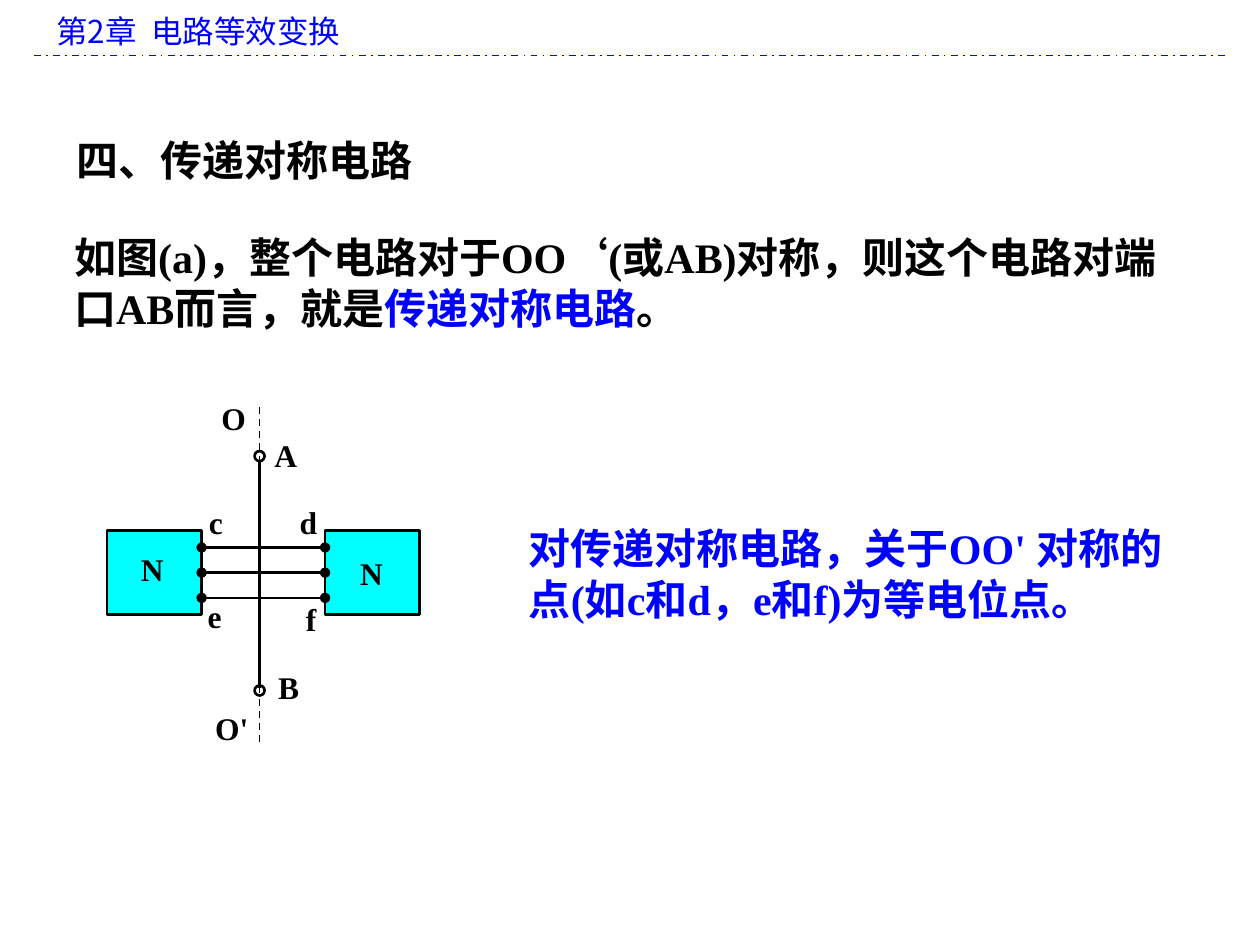
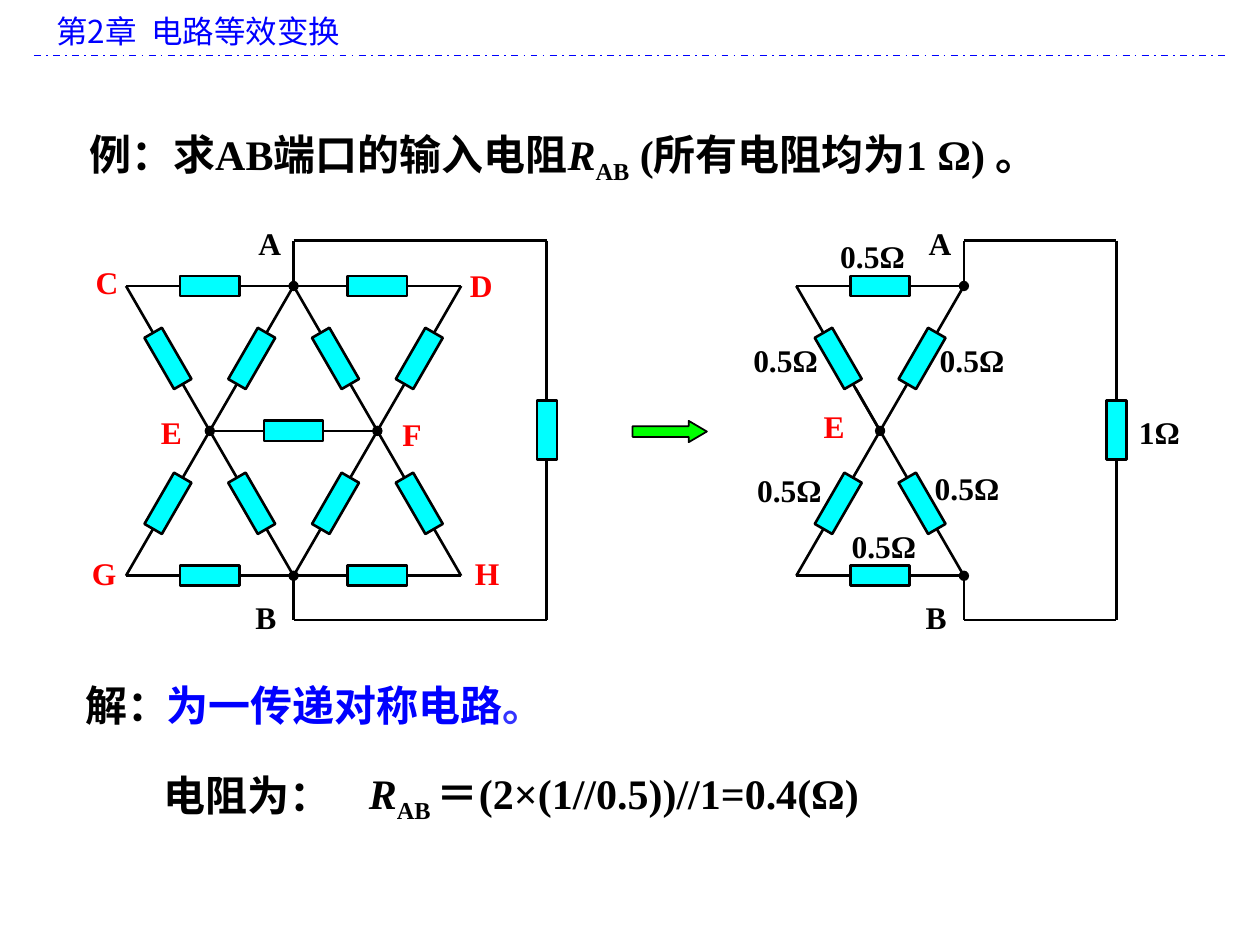
from math import atan2, degrees

from lxml.etree import SubElement
from pptx import Presentation
from pptx.dml.color import RGBColor
from pptx.enum.dml import MSO_LINE
from pptx.enum.shapes import MSO_CONNECTOR, MSO_SHAPE
from pptx.enum.text import MSO_ANCHOR, PP_ALIGN
from pptx.oxml.ns import qn
from pptx.util import Inches, Pt

BLACK, BLUE, RED = "000000", "0000FF", "FF0000"
CYAN, GREEN = "00FFFF", "00FF00"
BODY_FONT, HEADER_FONT = "Times New Roman", "Noto Sans CJK SC"
BODY_SIZE, LABEL_SIZE = 24, 18
TOP_ROW, MIDDLE_ROW, BOTTOM_ROW = 2.27, 3.42, 4.57
PORT_TOP, PORT_BOTTOM = 1.91, 4.92
SIDE = 1.33


def color(hex_code):
    """Turn a hex string into a colour."""
    return RGBColor.from_string(hex_code)


def add_text(slide, left, top, width, height, runs, ink=BLACK,
             size=BODY_SIZE, font=BODY_FONT, bold=True):
    """Add a wrapped one-paragraph text box; runs are (text, changes) pairs."""
    frame = slide.shapes.add_textbox(
        Inches(left), Inches(top), Inches(width), Inches(height)).text_frame
    frame.word_wrap = True
    paragraph = frame.paragraphs[0]
    paragraph.font.name = font
    paragraph.font.size = Pt(size)
    paragraph.font.bold = bold
    paragraph.font.color.rgb = color(ink)
    for words, changes in [(runs, {})] if isinstance(runs, str) else runs:
        run = paragraph.add_run()
        run.text = words
        if "ink" in changes:
            run.font.color.rgb = color(changes["ink"])
        if changes.get("italic"):
            run.font.italic = True
        if changes.get("subscript"):
            run.font._element.set("baseline", "-25000")
    return frame


def add_label(slide, words, left, top, width=0.46):
    """Add a left-aligned diagram label."""
    add_text(slide, left, top, width, 0.4, words, size=LABEL_SIZE)


def add_node_name(slide, name, left, top, ink=RED):
    """Add the centred name of a circuit node."""
    frame = add_text(slide, left, top, 0.38, 0.4, name, ink, LABEL_SIZE)
    frame.word_wrap = False
    frame.vertical_anchor = MSO_ANCHOR.MIDDLE
    frame.paragraphs[0].alignment = PP_ALIGN.CENTER


def add_block(slide, kind, left, top, width, height, fill=None, weight=1.5):
    """Add an outlined preset shape, hollow unless a fill is given."""
    block = slide.shapes.add_shape(
        kind, Inches(left), Inches(top), Inches(width), Inches(height))
    block.shadow.inherit = False
    if fill:
        block.fill.solid()
        block.fill.fore_color.rgb = color(fill)
    else:
        block.fill.background()
    block.line.color.rgb = color(BLACK)
    block.line.width = Pt(weight)
    return block


def add_line(slide, start, end, ink=BLACK, weight=1.5, dash=None, dots=()):
    """Add a straight line; dots lists the ends (head, tail) with a node dot."""
    line = slide.shapes.add_connector(
        MSO_CONNECTOR.STRAIGHT, *(Inches(n) for n in (*start, *end)))
    line.line.color.rgb = color(ink)
    line.line.width = Pt(weight)
    if dash:
        line.line.dash_style = dash
    properties = line._element.spPr
    outline = properties.find(qn("a:ln"))
    for end_name in dots:
        SubElement(outline, qn(f"a:{end_name}End"), type="oval")
    SubElement(properties, qn("a:effectLst"))
    return line


def add_wire(slide, start, end, resistors=0, dots=()):
    """Add a wire with resistors spread evenly along it."""
    add_line(slide, start, end, dots=dots)
    (x1, y1), (x2, y2) = start, end
    for index in range(resistors):
        share = (2 * index + 1) / (2 * resistors)
        x, y = x1 + share * (x2 - x1), y1 + share * (y2 - y1)
        resistor = add_block(slide, MSO_SHAPE.RECTANGLE,
                             x - 0.235, y - 0.08, 0.47, 0.16, CYAN)
        resistor.rotation = round(degrees(atan2(y2 - y1, x2 - x1)))


def add_port_loop(slide, port_x, return_x):
    """Add terminals A and B and the resistor loop that joins them."""
    add_wire(slide, (port_x, PORT_TOP), (port_x, TOP_ROW), dots=["tail"])
    add_wire(slide, (port_x, BOTTOM_ROW), (port_x, PORT_BOTTOM), dots=["head"])
    add_wire(slide, (return_x, PORT_TOP), (return_x, PORT_BOTTOM), 1)
    for y in (PORT_TOP, PORT_BOTTOM):
        add_wire(slide, (port_x, y), (return_x, y))
    add_node_name(slide, "A", port_x - 0.38, 1.73, BLACK)
    add_node_name(slide, "B", port_x - 0.41, 4.7, BLACK)


def add_crossed_pair(slide, left):
    """Add two diagonals of two resistors each, crossing in the middle row."""
    right = left + SIDE
    add_wire(slide, (left, TOP_ROW), (right, BOTTOM_ROW), 2)
    add_wire(slide, (right, TOP_ROW), (left, BOTTOM_ROW), 2)


def add_full_circuit(slide):
    """Add the symmetric circuit with nodes A to H."""
    left, port_x, right = 1, 1 + SIDE, 1 + 2 * SIDE
    for y in (TOP_ROW, BOTTOM_ROW):
        add_wire(slide, (left, y), (right, y), 2)
    for x in (left, port_x):
        add_crossed_pair(slide, x)
    add_wire(slide, (left + SIDE / 2, MIDDLE_ROW),
             (port_x + SIDE / 2, MIDDLE_ROW), 1, dots=["head", "tail"])
    add_port_loop(slide, port_x, 4.34)
    for name, x, y in [("C", 0.66, 2.04), ("D", 3.63, 2.06), ("E", 1.17, 3.23),
                       ("F", 3.08, 3.24), ("G", 0.63, 4.35), ("H", 3.67, 4.35)]:
        add_node_name(slide, name, x, y)


def add_folded_circuit(slide):
    """Add the equivalent circuit left after joining equal-potential nodes."""
    left, port_x = 6.32, 6.32 + SIDE
    for y in (TOP_ROW, BOTTOM_ROW):
        add_wire(slide, (left, y), (port_x, y), 1)
    add_crossed_pair(slide, left)
    add_wire(slide, (6.79, 3.08), (left + SIDE / 2, MIDDLE_ROW), dots=["tail"])
    add_port_loop(slide, port_x, 8.86)
    add_node_name(slide, "E", 6.43, 3.18)
    add_label(slide, "1Ω", 8.94, 3.23, 0.62)
    for x, y in [(6.57, 1.83), (5.88, 2.66), (7.36, 2.66),
                 (5.91, 3.69), (7.32, 3.67), (6.66, 4.13)]:
        add_label(slide, "0.5Ω", x, y, 0.89)


def add_twin_networks(slide):
    """Add two networks N mirrored about the axis OO'."""
    axis, box_top, box_width, box_height = 2.06, 4.21, 0.75, 0.67
    left_network, right_network = (
        add_block(slide, MSO_SHAPE.RECTANGLE, x, box_top,
                  box_width, box_height, CYAN) for x in (0.85, 2.58))
    add_line(slide, (axis, 3.65), (axis, 5.46))
    for y in (3.58, 5.44):
        add_block(slide, MSO_SHAPE.OVAL, axis - 0.04, y, 0.08, 0.08)
    for offset in (-0.2, 0, 0.2):
        y = box_top + box_height / 2 + offset
        link = add_line(slide, (1.6, y), (2.58, y), dots=["head", "tail"])
        if offset == 0:
            link.begin_connect(left_network, 3)
            link.end_connect(right_network, 1)
    add_line(slide, (axis, 3.23), (axis, 5.9), weight=1, dash=MSO_LINE.DASH)
    for name, x, y in [("A", 2.08, 3.41), ("O", 1.66, 3.12), ("B", 2.11, 5.25),
                       ("N", 1.02, 4.32), ("N", 2.76, 4.35), ("c", 1.56, 3.94),
                       ("d", 2.28, 3.94), ("e", 1.55, 4.69), ("f", 2.33, 4.71)]:
        add_label(slide, name, x, y)
    add_label(slide, "O'", 1.61, 5.58, 0.62)


def add_chapter_slide(deck):
    """Add a blank slide with the chapter header and its rule."""
    slide = deck.slides.add_slide(deck.slide_layouts[6])
    add_text(slide, 0.35, 0.05, 9.37, 0.4, "第2章  电路等效变换", BLUE,
             LABEL_SIZE, HEADER_FONT, bold=False)
    add_line(slide, (0.27, 0.44), (9.72, 0.44), BLUE, 1, MSO_LINE.DASH_DOT)
    return slide


def build_definition(deck):
    """Build the slide that defines transfer-symmetric circuits."""
    slide = add_chapter_slide(deck)
    add_text(slide, 0.51, 1.02, 9.1, 0.5, "四、传递对称电路")
    add_text(slide, 0.49, 1.79, 9.1, 0.9, [
        ("如图(a)，整个电路对于OO‘(或AB)对称，则这个电路对端口AB而言，就是", {}),
        ("传递对称电路", {"ink": BLUE}),
        ("。", {})])
    add_text(slide, 4.1, 4.1, 5.4, 0.9,
             "对传递对称电路，关于OO' 对称的点(如c和d，e和f)为等电位点。", BLUE)
    add_twin_networks(slide)


def build_example(deck):
    """Build the worked example for the input resistance."""
    slide = add_chapter_slide(deck)
    add_text(slide, 0.61, 0.97, 9, 0.5, [
        ("例：求AB端口的输入电阻", {}),
        ("R", {"italic": True}),
        ("AB", {"subscript": True}),
        (" (所有电阻均为1 Ω) 。", {})])
    add_full_circuit(slide)
    arrow = add_block(slide, MSO_SHAPE.RIGHT_ARROW,
                      5.02, 3.34, 0.59, 0.17, GREEN, 1)
    arrow.adjustments[1] = 0.85
    add_folded_circuit(slide)
    add_text(slide, 0.58, 5.34, 0.98, 0.5, "解：")
    add_text(slide, 1.22, 5.34, 5.35, 0.5,
             [("为一传递对称电路", {}), ("。", {"ink": "3333FF"})], BLUE)
    add_text(slide, 1.2, 6.06, 1.96, 0.5, "电阻为：")
    add_text(slide, 2.83, 6.04, 5.73, 0.5, [
        ("R", {"italic": True}),
        ("AB ", {"subscript": True}),
        ("＝(2×(1//0.5))//1=0.4(Ω)", {})])


def main():
    """Build and save the deck."""
    deck = Presentation()
    deck.slide_width, deck.slide_height = Inches(10), Inches(7.5)
    build_definition(deck)
    build_example(deck)
    deck.save("out.pptx")


if __name__ == "__main__":
    main()
